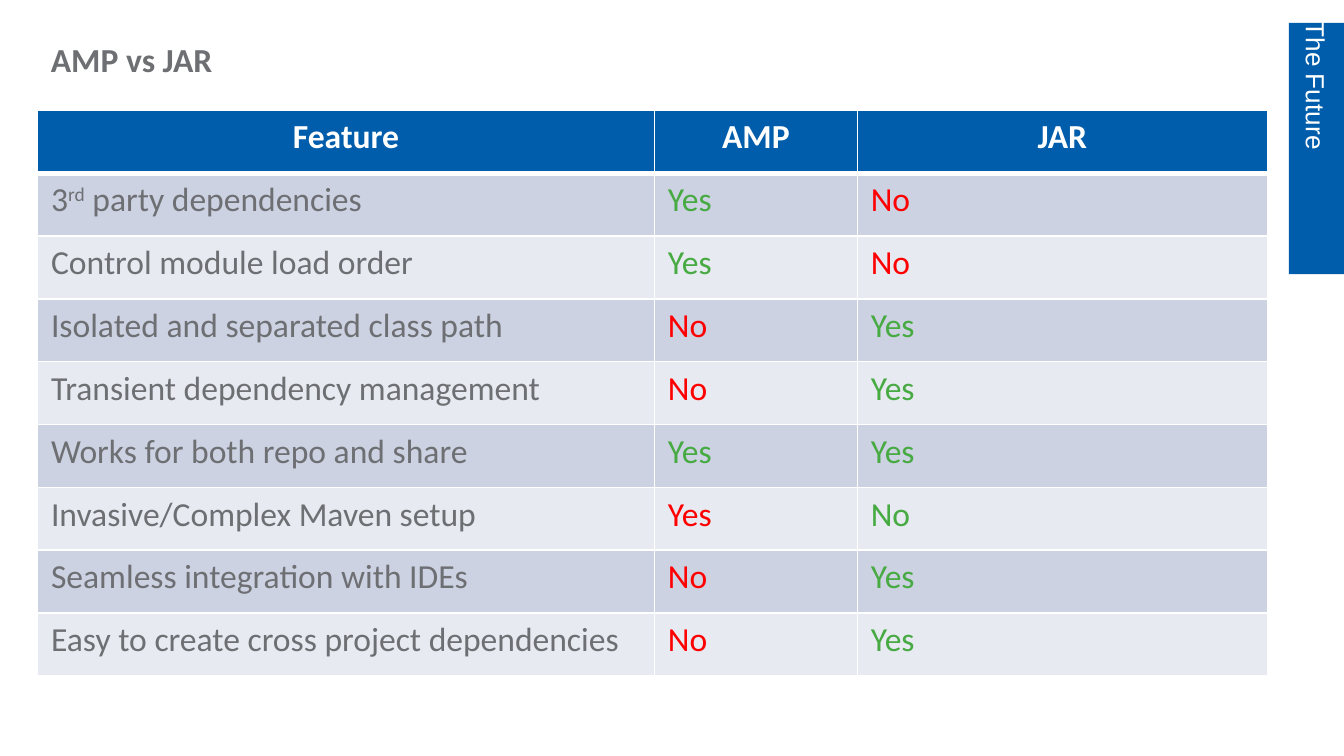
from dataclasses import dataclass

from lxml.etree import SubElement
from pptx import Presentation
from pptx.dml.color import RGBColor as RGB
from pptx.enum.shapes import MSO_SHAPE as Shape
from pptx.enum.text import MSO_ANCHOR as Anchor, PP_ALIGN as Align
from pptx.oxml.ns import qn
from pptx.util import Inches, Pt


@dataclass(frozen=True)
class Theme:
    blue: str = "005DAB"
    white: str = "FFFFFF"
    gray: str = "6D6F73"
    good: str = "47AA42"
    bad: str = "FF0000"
    bands: tuple = ("CCD2E2", "E7EAF1")
    body_font: str = "Calibri"
    tab_font: str = "Arial"
    body_size: int = 18
    tab_size: int = 14
    border: int = 1
    header_rule: int = 3


class SlideBuilder:
    def __init__(self, slide, theme):
        self.slide = slide
        self.theme = theme

    def run(self, paragraph, text, color, bold=False, font=None, size=None, raised=False):
        run = paragraph.add_run()
        run.text = text
        run.font.name = font or self.theme.body_font
        run.font.size = Pt(size or self.theme.body_size)
        run.font.bold = bold
        run.font.color.rgb = RGB.from_string(color)
        if raised:
            run.font._element.set("baseline", "30000")

    def rectangle(self, box, color):
        shape = self.slide.shapes.add_shape(Shape.RECTANGLE, *map(Inches, box))
        shape.shadow.inherit = False
        shape.fill.solid()
        shape.fill.fore_color.rgb = RGB.from_string(color)
        shape.line.fill.background()

    def text(self, box, text, color, vertical=False, **style):
        frame = self.slide.shapes.add_textbox(*map(Inches, box)).text_frame
        frame.word_wrap = True
        if vertical:
            frame._txBody.bodyPr.set("vert", "vert")
            frame.vertical_anchor = Anchor.MIDDLE
            frame.margin_left = frame.margin_right = Inches(0.05)
            frame.margin_top = frame.margin_bottom = 0
        self.run(frame.paragraphs[0], text, color, **style)

    def borders(self, cell, top, bottom):
        properties = cell._tc.get_or_add_tcPr()
        widths = {"lnL": self.theme.border, "lnR": self.theme.border, "lnT": top, "lnB": bottom}
        for side, width in widths.items():
            line = SubElement(properties, qn(f"a:{side}"), w=str(Pt(width)))
            fill = SubElement(line, qn("a:solidFill"))
            SubElement(fill, qn("a:srgbClr"), val=self.theme.white)

    def cell(self, cell, runs, fill, color, top, bottom, header=False):
        self.borders(cell, top, bottom)
        cell.fill.solid()
        cell.fill.fore_color.rgb = RGB.from_string(fill)
        paragraph = cell.text_frame.paragraphs[0]
        paragraph.alignment = Align.CENTER if header else Align.LEFT
        for text, raised in runs:
            self.run(paragraph, text, color, bold=header, raised=raised)

    def comparison(self, box, column_widths, headings, features):
        theme = self.theme
        table = self.slide.shapes.add_table(
            len(features) + 1, len(headings), *map(Inches, box)).table
        for column, width in zip(table.columns, column_widths):
            column.width = Inches(width)

        # Header row
        for column, heading in enumerate(headings):
            self.cell(table.cell(0, column), [(heading, False)], theme.blue, theme.white,
                      theme.border, theme.header_rule, header=True)

        # Feature rows: an answer is green when it is the wanted one
        for row, (feature, answers, wanted) in enumerate(features, start=1):
            fill = theme.bands[(row - 1) % 2]
            top = theme.header_rule if row == 1 else theme.border
            self.cell(table.cell(row, 0), feature, fill, theme.gray, top, theme.border)
            for column, answer in enumerate(answers, start=1):
                color = theme.good if answer == wanted else theme.bad
                self.cell(table.cell(row, column), [(answer, False)], fill, color,
                          top, theme.border)


def plain(text):
    return [(text, False)]


FEATURES = [
    ([("3", False), ("rd", True), (" party dependencies", False)], ("Yes", "No"), "Yes"),
    (plain("Control module load order"), ("Yes", "No"), "Yes"),
    (plain("Isolated and separated class path"), ("No", "Yes"), "Yes"),
    (plain("Transient dependency management"), ("No", "Yes"), "Yes"),
    (plain("Works for both repo and share"), ("Yes", "Yes"), "Yes"),
    (plain("Invasive/Complex Maven setup"), ("Yes", "No"), "No"),
    (plain("Seamless integration with IDEs"), ("No", "Yes"), "Yes"),
    (plain("Easy to create cross project dependencies"), ("No", "Yes"), "Yes"),
]


def main():
    # Widescreen 16:9 page
    presentation = Presentation()
    presentation.slide_width = Inches(10)
    presentation.slide_height = Inches(10 * 9 / 16)
    theme = Theme()
    builder = SlideBuilder(
        presentation.slides.add_slide(presentation.slide_layouts[6]), theme)

    # Section tab
    builder.rectangle((9.59, 0.17, 0.41, 1.87), theme.blue)
    builder.text((9.58, 0.16, 0.43, 1.87), "The Future", theme.white, vertical=True,
                 font=theme.tab_font, size=theme.tab_size)

    # Title
    builder.text((0.28, 0.24, 9.15, 1.62), "AMP vs JAR", theme.gray, bold=True)

    # Comparison table
    builder.comparison((0.28, 0.82, 9.15, 4.21), (4.59, 1.51, 3.05),
                       ("Feature", "AMP", "JAR"), FEATURES)

    presentation.save("out.pptx")


if __name__ == "__main__":
    main()
